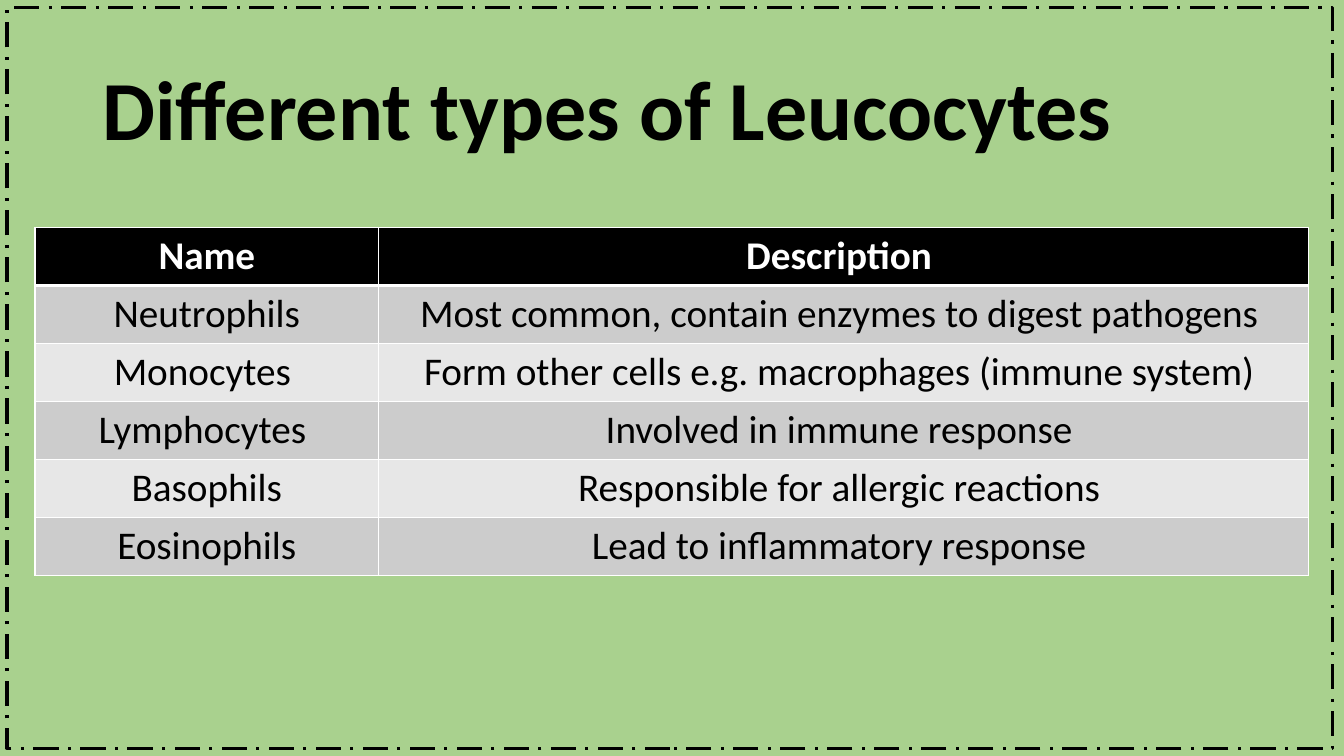
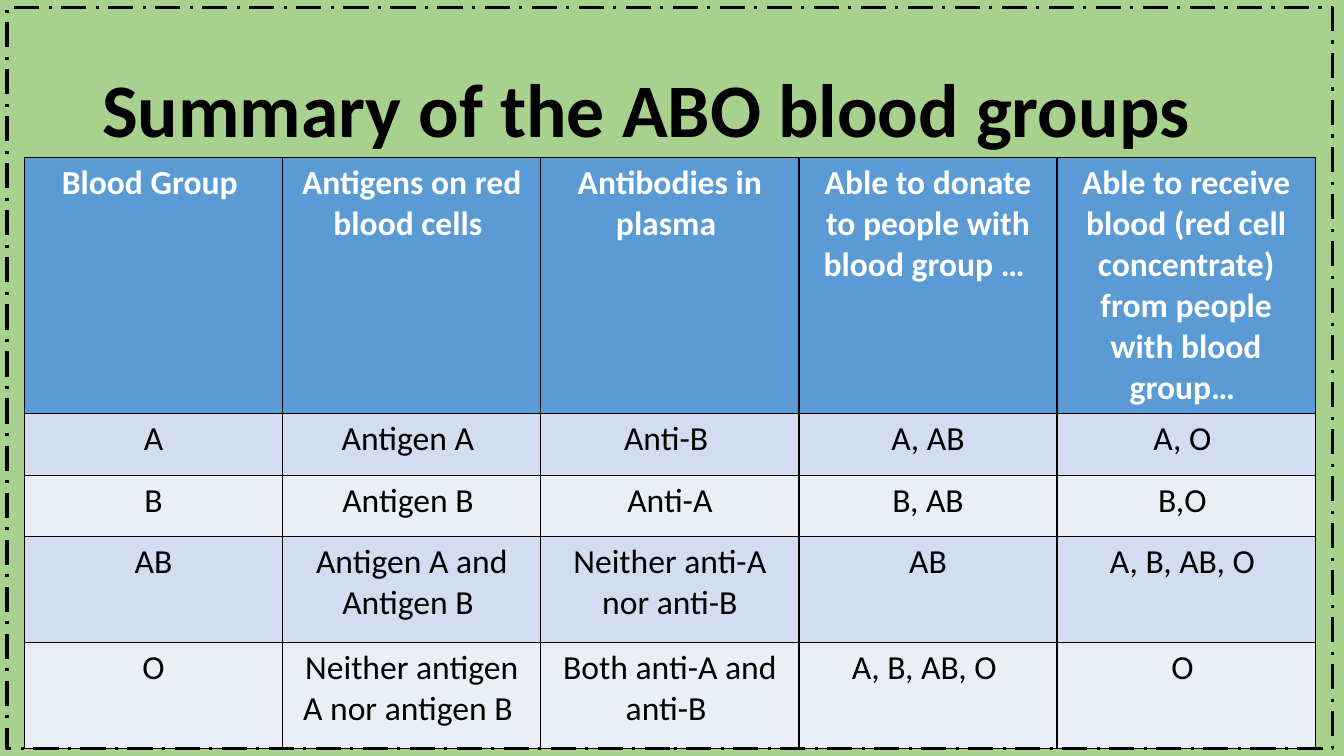
from dataclasses import dataclass

from lxml.etree import SubElement
from pptx import Presentation
from pptx.dml.color import RGBColor
from pptx.enum.dml import MSO_LINE
from pptx.enum.shapes import MSO_SHAPE
from pptx.enum.text import MSO_ANCHOR, PP_ALIGN
from pptx.oxml.ns import qn
from pptx.util import Pt


@dataclass(frozen=True)
class Theme:
    font: str = "Calibri"
    background: str = "A9D18E"
    ink: str = "000000"
    on_header: str = "FFFFFF"
    frame_width: float = 2.25
    rule_width: float = 1


THEME = Theme()

SLIDES = [
    {
        "title": "Different types of Leucocytes",
        "title_size": 60,
        "left": 25, "top": 162.5,
        "column_widths": [245.5, 664],
        "row_heights": [41.4] * 6,
        "text_size": 28,
        "header_fill": "000000",
        "bands": ["CCCCCC", "E7E7E7"],
        "rule": "FFFFFF",
        "header_rule_width": 3,
        "rows": [
            ("Name", "Description "),
            ("Neutrophils", "Most common, contain enzymes to digest pathogens "),
            ("Monocytes ", "Form other cells e.g. macrophages (immune system) "),
            ("Lymphocytes ", "Involved in immune response "),
            ("Basophils", "Responsible for allergic reactions "),
            ("Eosinophils", "Lead to inflammatory response "),
        ],
    },
    {
        "title": "Summary of the ABO blood groups",
        "title_size": 54,
        "left": 17.5, "top": 112.5,
        "column_widths": [184.4] * 5,
        "row_heights": [183, 44, 44, 75.6, 75.6],
        "text_size": 24,
        "header_fill": "5B9BD5",
        "bands": ["D2DEEF", "EAEFF7"],
        "rule": "000000",
        "header_rule_width": 1,
        "rows": [
            ("Blood Group ", "Antigens on red blood cells ", "Antibodies in plasma ",
             "Able to donate to people with blood group … ",
             "Able to receive blood (red cell concentrate) from people with blood group… "),
            ("A", "Antigen A ", "Anti-B ", "A, AB", "A, O "),
            ("B", "Antigen B ", "Anti-A", "B, AB", "B,O "),
            ("AB", "Antigen A and Antigen B ", "Neither anti-A nor anti-B", "AB", "A, B, AB, O "),
            ("O", "Neither antigen A nor antigen B ", "Both anti-A and anti-B ",
             "A, B, AB, O ", "O "),
        ],
    },
]


def rgb(code):
    return RGBColor.from_string(code)


def write(text_frame, text, *, size, color=THEME.ink, bold=False,
          align=PP_ALIGN.LEFT, line_spacing=None):
    paragraph = text_frame.paragraphs[0]
    paragraph.alignment = align
    paragraph.line_spacing = line_spacing
    run = paragraph.add_run()
    run.text = text
    run.font.name = THEME.font
    run.font.size = Pt(size)
    run.font.bold = bold
    run.font.color.rgb = rgb(color)


def set_borders(cell, color, widths):
    """Draw cell edges; widths holds left, right, top and bottom in points."""
    properties = cell._tc.get_or_add_tcPr()
    for side, width in zip("LRTB", widths):
        edge = SubElement(properties, qn(f"a:ln{side}"), w=str(Pt(width)))
        fill = SubElement(edge, qn("a:solidFill"))
        SubElement(fill, qn("a:srgbClr"), val=color)


def add_title(slide, content):
    box = slide.shapes.add_textbox(Pt(66), Pt(28.8), Pt(828), Pt(104.4))
    box.text_frame.word_wrap = True
    box.text_frame.vertical_anchor = MSO_ANCHOR.MIDDLE
    write(box.text_frame, content["title"], size=content["title_size"],
          bold=True, line_spacing=0.9)


def add_banded_table(slide, content):
    rows, widths, heights = (content[key] for key in ("rows", "column_widths", "row_heights"))
    table = slide.shapes.add_table(
        len(rows), len(widths), Pt(content["left"]), Pt(content["top"]),
        Pt(sum(widths)), Pt(sum(heights))).table
    for column, width in zip(table.columns, widths):
        column.width = Pt(width)
    for row, height in zip(table.rows, heights):
        row.height = Pt(height)

    thin, header_rule = THEME.rule_width, content["header_rule_width"]
    for r, texts in enumerate(rows):
        header = r == 0
        fill = content["header_fill"] if header else content["bands"][(r - 1) % 2]
        top = header_rule if r == 1 else thin
        bottom = header_rule if header else thin
        for c, text in enumerate(texts):
            cell = table.cell(r, c)
            set_borders(cell, content["rule"], (thin, thin, top, bottom))
            cell.fill.solid()
            cell.fill.fore_color.rgb = rgb(fill)
            write(cell.text_frame, text, size=content["text_size"], bold=header,
                  color=THEME.on_header if header else THEME.ink, align=PP_ALIGN.CENTER)


def add_frame(slide):
    frame = slide.shapes.add_shape(MSO_SHAPE.RECTANGLE, Pt(5), Pt(5.5), Pt(947), Pt(529))
    frame.shadow.inherit = False
    frame.fill.background()
    frame.line.color.rgb = rgb(THEME.ink)
    frame.line.width = Pt(THEME.frame_width)
    frame.line.dash_style = MSO_LINE.LONG_DASH_DOT


def main():
    presentation = Presentation()
    presentation.slide_width, presentation.slide_height = Pt(960), Pt(540)
    blank = presentation.slide_layouts[6]
    for content in SLIDES:
        slide = presentation.slides.add_slide(blank)
        slide.background.fill.solid()
        slide.background.fill.fore_color.rgb = rgb(THEME.background)
        add_title(slide, content)
        add_banded_table(slide, content)
        add_frame(slide)
    presentation.save("out.pptx")


if __name__ == "__main__":
    main()
